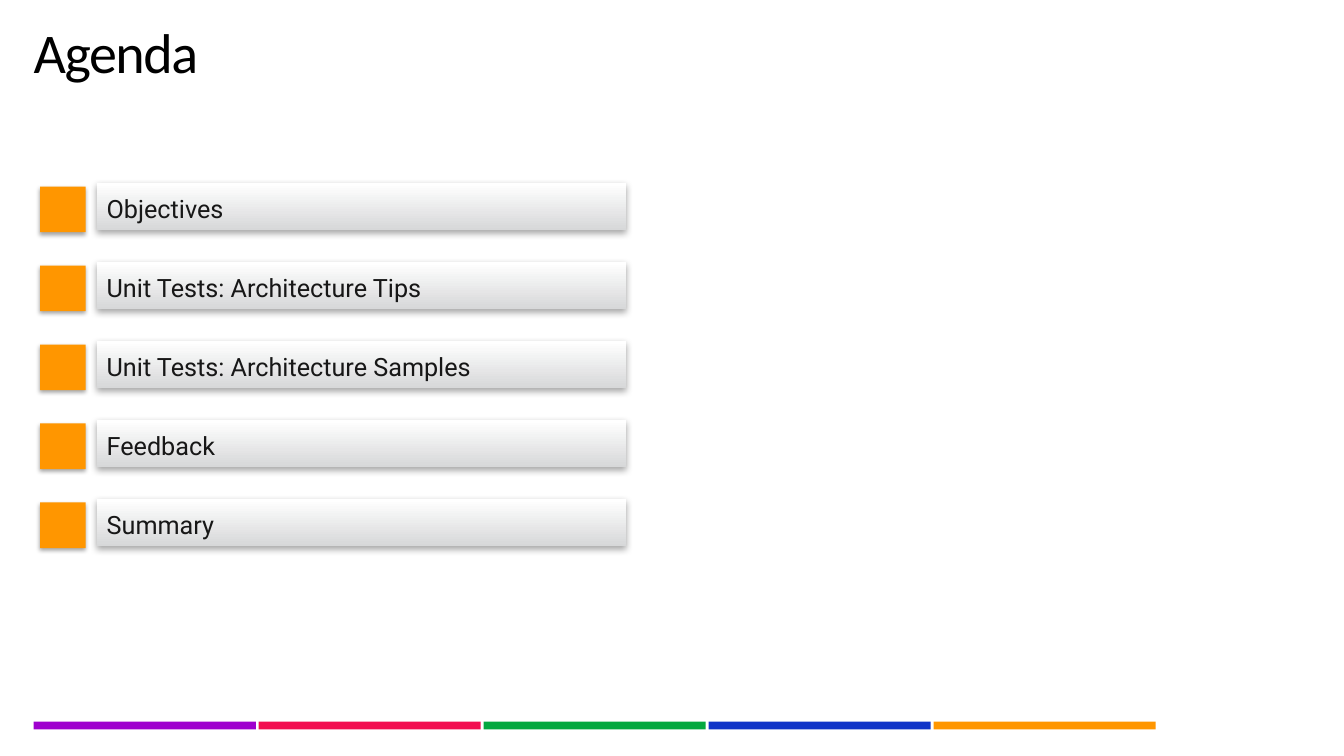
from lxml import etree
from pptx import Presentation
from pptx.dml.color import RGBColor
from pptx.enum.shapes import MSO_SHAPE as SHAPE
from pptx.enum.text import MSO_ANCHOR as ANCHOR, MSO_AUTO_SIZE as AUTO, PP_ALIGN as ALIGN
from pptx.oxml.ns import qn
from pptx.util import Pt

TOPICS = [
    "Objectives",
    "Unit Tests: Architecture Tips",
    "Unit Tests: Architecture Samples",
    "Feedback",
    "Summary",
]
ORANGE = "FF9600"
STRIPES = ["9F00CE", "F20D50", "03A83F", "1034C8", ORANGE]
TOPIC_TOP, TOPIC_STEP = 131, 56.4
BAR_LEFT, BAR_WIDTH = 69.1, 378
STRIPE_LEFT, STRIPE_STEP = 24, 160.7


def rgb(color):
    return RGBColor.from_string(color)


def box(left, top, width, height):
    return Pt(left), Pt(top), Pt(width), Pt(height)


def add_rect(shapes, bounds, color):
    sp = shapes.add_shape(SHAPE.RECTANGLE, *box(*bounds))
    sp.shadow.inherit = False
    sp.line.fill.background()
    sp.fill.solid()
    sp.fill.fore_color.rgb = rgb(color)
    return sp


def add_shadow(sp, blur):
    effects = sp._element.spPr.find(qn("a:effectLst"))
    shadow = etree.SubElement(
        effects, qn("a:outerShdw"), blurRad=str(Pt(blur)), dist=str(Pt(1.8)),
        dir="5400000", algn="t", rotWithShape="0")
    color = etree.SubElement(shadow, qn("a:srgbClr"), val="000000")
    etree.SubElement(color, qn("a:alpha"), val="35000")


def fill_gradient(sp, bottom, top):
    sp.fill.gradient()
    sp.fill.gradient_angle = 90
    for stop, color in zip(sp.fill.gradient_stops, (bottom, top)):
        stop.color.rgb = rgb(color)


def format_run(r, size, font, color):
    r.font.size = Pt(size)
    r.font.name = font
    r.font.color.rgb = rgb(color)


def add_label(shapes, bounds, text):
    tf = shapes.add_textbox(*box(*bounds)).text_frame
    tf.word_wrap = True
    tf.auto_size = AUTO.SHAPE_TO_FIT_TEXT
    tf.text = text
    format_run(tf.paragraphs[0].runs[0], 18, "Roboto", "171717")


def add_topic(s, top, text):
    shapes = s.shapes.add_group_shape().shapes
    bar = add_rect(shapes, (BAR_LEFT, top, BAR_WIDTH, 33.4), "FFFFFF")
    fill_gradient(bar, "D7D8D9", "FFFFFF")
    add_shadow(bar, 5)
    add_label(shapes, (BAR_LEFT, top + 3.8, BAR_WIDTH, 29.1), text)
    marker = add_rect(shapes, (28.6, top + 2.3, 32.6, 32.6), ORANGE)
    add_shadow(marker, 3.1)


def set_title(s, text):
    title = s.shapes.title
    title.left, title.top, title.width, title.height = box(24, 18, 913, 44)
    tf = title.text_frame
    tf.margin_left = tf.margin_top = tf.margin_right = tf.margin_bottom = 0
    tf.vertical_anchor = ANCHOR.TOP
    tf.auto_size = AUTO.SHAPE_TO_FIT_TEXT
    tf.word_wrap = True
    tf.text = text
    p = tf.paragraphs[0]
    p.alignment = ALIGN.LEFT
    p.line_spacing = 0.9
    r = p.runs[0]
    format_run(r, 40, "Calibri", "000000")
    r.font._element.set("spc", "-100")


def add_stripes(s):
    shapes = s.shapes.add_group_shape().shapes
    for i, color in enumerate(STRIPES):
        add_rect(shapes, (STRIPE_LEFT + i * STRIPE_STEP, 515.5, 158.7, 5.6), color)


def main():
    prs = Presentation()
    prs.slide_width, prs.slide_height = Pt(960), Pt(540)
    s = prs.slides.add_slide(prs.slide_layouts[5])
    add_stripes(s)
    set_title(s, "Agenda")
    for i, topic in enumerate(TOPICS):
        add_topic(s, TOPIC_TOP + i * TOPIC_STEP, topic)
    prs.save("out.pptx")


if __name__ == "__main__":
    main()
